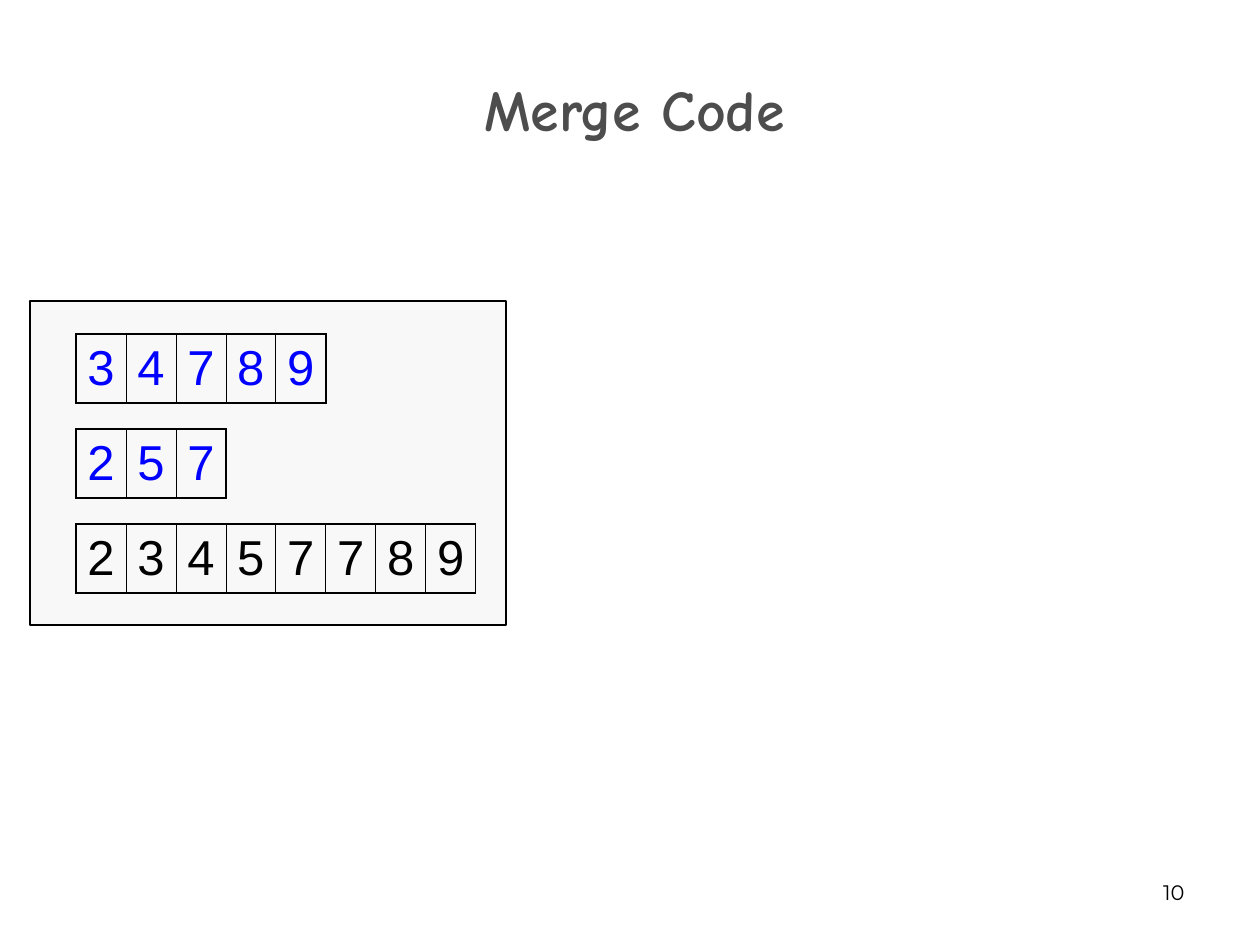
from dataclasses import dataclass

from lxml.etree import SubElement
from pptx import Presentation
from pptx.dml.color import RGBColor
from pptx.enum.shapes import MSO_SHAPE as Shape
from pptx.enum.text import MSO_ANCHOR as Anchor, PP_ALIGN as Align
from pptx.oxml.ns import qn
from pptx.util import Emu, Pt

EMU_PER_PX = 914400 / 126
COLORS = {
    "ink": "000000",
    "title": "4D4D4D",
    "input": "0000FF",
    "panel": "F8F8F8",
}
CELL_WIDTH = 50
CELL_HEIGHT = 67
ARRAY_LEFT = 76
OUTER_LINE = 1.08
INNER_LINE = 0.45


@dataclass(frozen=True)
class NumberArray:
    digits: str
    top: int
    color: str


ARRAYS = [
    NumberArray("34789", 334, "input"),
    NumberArray("257", 429, "input"),
    NumberArray("23457789", 524, "ink"),
]


def px(length: int) -> Emu:
    return Emu(round(length * EMU_PER_PX))


def rgb(name: str) -> RGBColor:
    return RGBColor.from_string(COLORS[name])


def place(shape, left: int, top: int, width: int, height: int) -> None:
    shape.left, shape.top = px(left), px(top)
    shape.width, shape.height = px(width), px(height)


def write(frame, text: str, font: str, size: int, color: str, align: Align,
          bold: bool = False) -> None:
    frame.text = text
    para = frame.paragraphs[0]
    para.alignment = align
    span = para.runs[0]
    span.font.name = font
    span.font.size = Pt(size)
    span.font.bold = bold
    span.font.color.rgb = rgb(color)


def set_border(cell, side: str, width: float) -> None:
    properties = cell._tc.get_or_add_tcPr()
    line = SubElement(properties, qn(f"a:ln{side}"), w=str(Pt(width)))
    fill = SubElement(line, qn("a:solidFill"))
    SubElement(fill, qn("a:srgbClr"), val=COLORS["ink"])


def draw_array(page, array: NumberArray) -> None:
    count = len(array.digits)
    table = page.shapes.add_table(
        1, count, px(ARRAY_LEFT), px(array.top), px(count * CELL_WIDTH), px(CELL_HEIGHT)
    ).table
    table.first_row = table.horz_banding = False
    for index, digit in enumerate(array.digits):
        table.columns[index].width = px(CELL_WIDTH)
        cell = table.cell(0, index)
        cell.margin_left = cell.margin_right = px(6)
        cell.margin_top = cell.margin_bottom = px(5)
        cell.vertical_anchor = Anchor.MIDDLE
        write(cell.text_frame, digit, "Arial", 28, array.color, Align.CENTER)
        set_border(cell, "L", OUTER_LINE if index == 0 else INNER_LINE)
        set_border(cell, "R", OUTER_LINE if index == count - 1 else INNER_LINE)
        set_border(cell, "T", OUTER_LINE)
        set_border(cell, "B", OUTER_LINE)
        cell.fill.background()


def draw_title(page) -> None:
    title = page.shapes.title
    place(title, 39, 76, 1191, 82)
    frame = title.text_frame
    frame.vertical_anchor = Anchor.MIDDLE
    write(frame, "Merge Code", "Comic Neue", 33, "title", Align.CENTER, bold=True)
    frame.paragraphs[0].line_spacing = 0.7


def draw_panel(page) -> None:
    panel = page.shapes.add_shape(Shape.RECTANGLE, px(30), px(301), px(476), px(324))
    panel.shadow.inherit = False
    panel.fill.solid()
    panel.fill.fore_color.rgb = rgb("panel")
    panel.line.color.rgb = rgb("ink")
    panel.line.width = Pt(0.75)


def draw_page_number(page) -> None:
    box = page.shapes.add_textbox(px(903), px(861), px(294), px(63))
    frame = box.text_frame
    frame.word_wrap = True
    frame.vertical_anchor = Anchor.MIDDLE
    write(frame, "10", "Montserrat", 12, "ink", Align.RIGHT)


def main() -> None:
    deck = Presentation()
    deck.slide_width, deck.slide_height = px(1260), px(945)
    page = deck.slides.add_slide(deck.slide_layouts[5])
    draw_page_number(page)
    draw_title(page)
    draw_panel(page)
    for array in ARRAYS:
        draw_array(page, array)
    deck.save("out.pptx")


if __name__ == "__main__":
    main()
